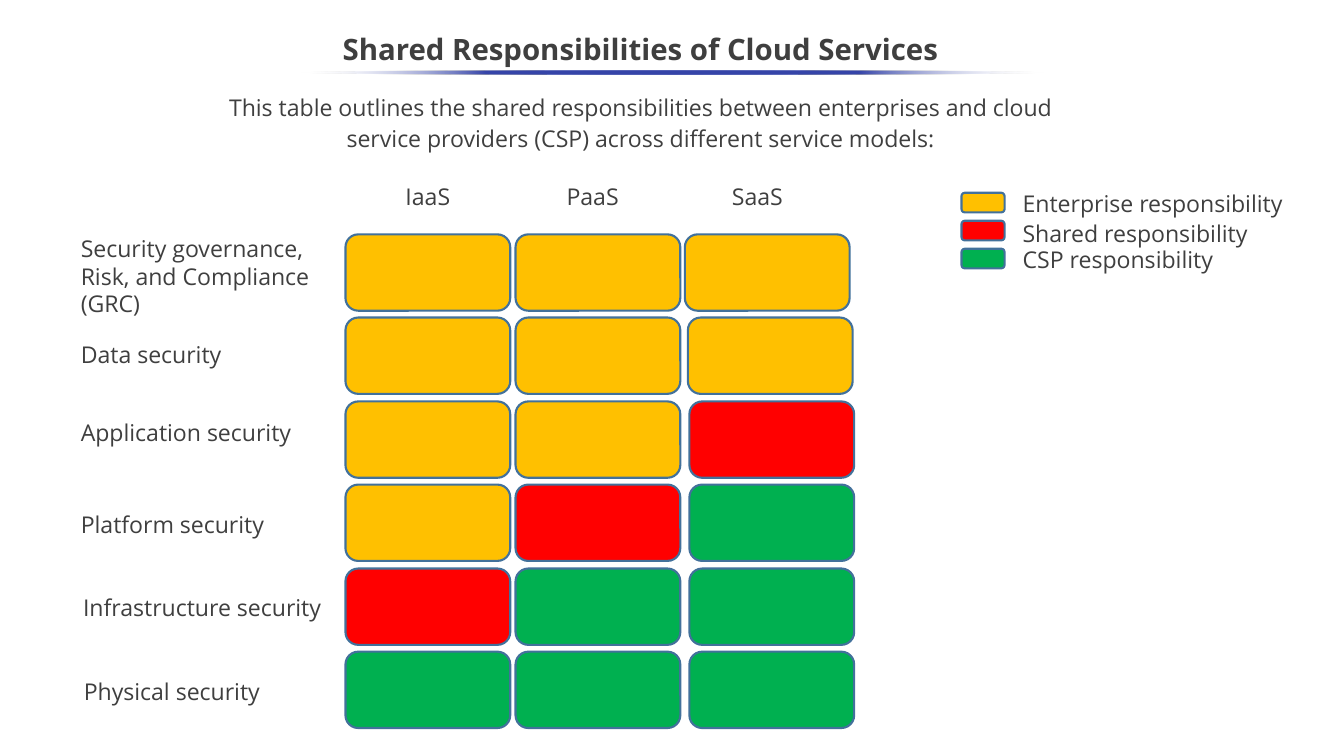
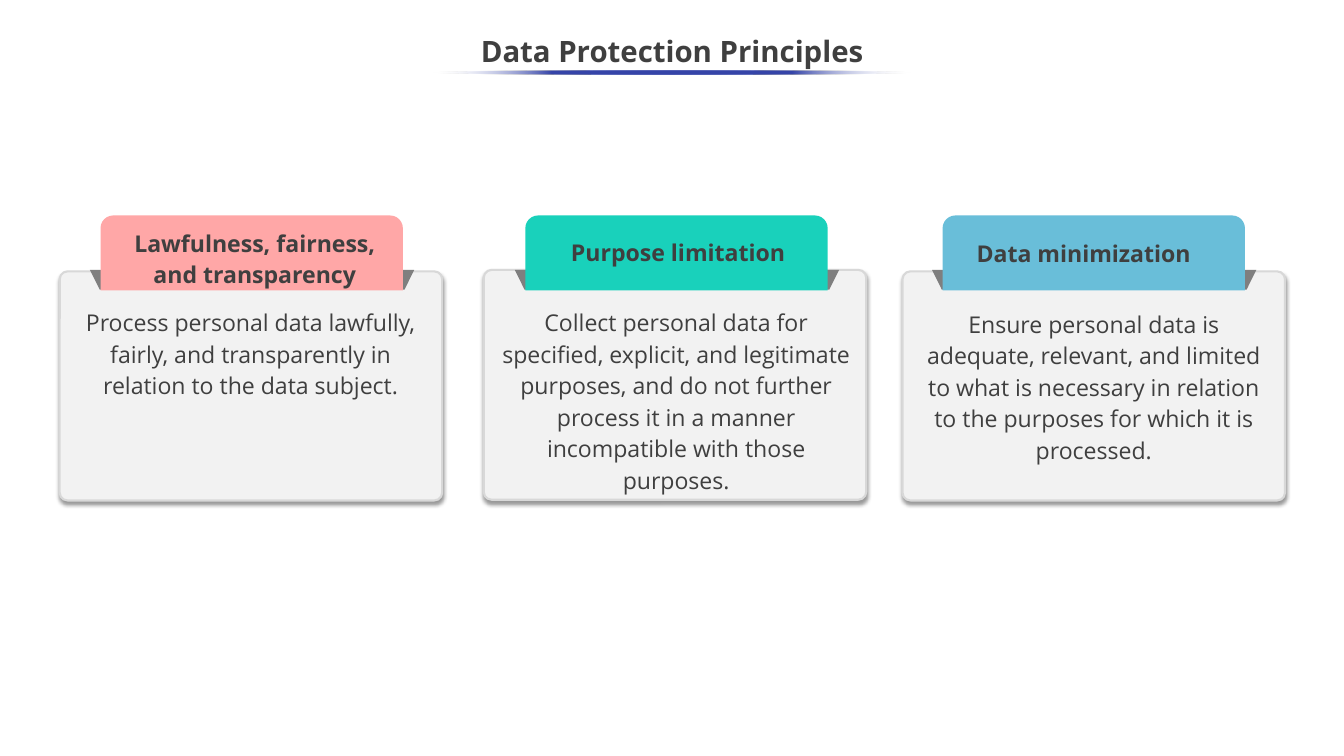
"""Two slides on cloud security: shared responsibilities and data protection."""
from dataclasses import dataclass

from pptx import Presentation
from pptx.dml.color import RGBColor
from pptx.enum.shapes import MSO_SHAPE as SHAPE
from pptx.enum.text import MSO_ANCHOR as ANCHOR, PP_ALIGN as ALIGN
from pptx.oxml import parse_xml
from pptx.oxml.ns import nsdecls, qn
from pptx.util import Emu, Pt

PX = 9144
WIDTH, HEIGHT = 1778, 1000


@dataclass(frozen=True)
class Theme:
    """Colours, font and type sizes of the deck."""
    font: str = "Open Sans"
    title: int = 28
    body: int = 22
    spacing: float = 1.14
    text: str = "3F3F3F"
    rule: str = "3645A9"
    white: str = "FFFFFF"
    cell_line: str = "42719B"
    card: str = "F2F2F2"
    card_line: str = "D8D8D8"
    fold: str = "7F7F7F"
    line: int = 2


T = Theme()

MATRIX_TITLE = "Shared Responsibilities of Cloud Services"
MATRIX_INTRO = ("This table outlines the shared responsibilities between enterprises and cloud "
                "service providers (CSP) across different service models:")
MODELS = ["IaaS", "PaaS", "SaaS"]
OWNERS = {"E": ("Enterprise responsibility", "FFC000", 246),
          "S": ("Shared responsibility", "FF0000", 285),
          "C": ("CSP responsibility", "00B050", 320)}
# label, owner per model, label position, left edge of the SaaS cell
AREAS = [
    ("Security governance, Risk, and Compliance (GRC)", "EEE", (97, 305), 906),
    ("Data security", "EEE", (97, 446), 910),
    ("Application security", "EES", (97, 549), 912),
    ("Platform security", "ESC", (97, 670), 912),
    ("Infrastructure security", "SCC", (100, 780), 912),
    ("Physical security", "CCC", (101, 891), 912),
]

CARDS_TITLE = "Data Protection Principles"
CARDS = [
    dict(head="Lawfulness, fairness, and transparency", color="FFA7A7",
         body="Process personal data lawfully, fairly, and transparently in relation to the "
              "data subject.",
         card=(79, 359, 506, 303), tab=133, head_box=(137, 293, 400, 95),
         body_box=(84, 398, 495, 137), spacing=T.spacing),
    dict(head="Purpose limitation", color="19D1BB",
         body="Collect personal data for specified, explicit, and legitimate purposes, and do "
              "not further process it in a manner incompatible with those purposes.",
         card=(640, 357, 506, 304), tab=695, head_box=(699, 310, 396, 47),
         body_box=(640, 398, 509, 263), spacing=1.0),
    dict(head="Data minimization", color="69BED9",
         body="Ensure personal data is adequate, relevant, and limited to what is necessary in "
              "relation to the purposes for which it is processed.",
         card=(1194, 359, 506, 303), tab=1247, head_box=(1263, 312, 341, 47),
         body_box=(1204, 400, 486, 221), spacing=1.0),
]


def rgb(value):
    return RGBColor.from_string(value)


def assign(obj, **values):
    """Set each named attribute on an object."""
    for name, value in values.items():
        setattr(obj, name, value)


def emu(box):
    return [Emu(v * PX) for v in box]


def add_text(s, box, text, size=T.body, bold=False, align=ALIGN.CENTER,
             spacing=1.0, anchor=ANCHOR.TOP):
    """Add a wrapped text box with one paragraph."""
    tf = s.shapes.add_textbox(*emu(box)).text_frame
    assign(tf, word_wrap=True, vertical_anchor=anchor)
    p = tf.paragraphs[0]
    assign(p, alignment=align, line_spacing=spacing)
    r = p.add_run()
    r.text = text
    assign(r.font, name=T.font, size=Pt(size), bold=bold)
    r.font.color.rgb = rgb(T.text)


def add_block(s, kind, box, fill, line=None, adj=()):
    """Add a flat preset shape."""
    sp = s.shapes.add_shape(kind, *emu(box))
    sp.shadow.inherit = False
    sp.fill.solid()
    sp.fill.fore_color.rgb = rgb(fill)
    if line:
        sp.line.color.rgb = rgb(line)
        sp.line.width = Pt(T.line)
    else:
        sp.line.fill.background()
    for i, value in enumerate(adj):
        sp.adjustments[i] = value
    return sp


def add_rule(s, left, width):
    """Add the title rule, which fades out at both ends."""
    sp = add_block(s, SHAPE.OVAL, (left, 94, width, 4), T.rule)
    clear = '<a:alpha val="0"/>'
    stops = [(0, T.white, clear), (25, T.rule, ""), (50, T.rule, ""),
             (75, T.rule, ""), (100, T.white, clear)]
    gs = "".join(f'<a:gs pos="{pos * 1000}"><a:srgbClr val="{color}">{alpha}</a:srgbClr></a:gs>'
                 for pos, color, alpha in stops)
    grad = parse_xml(f'<a:gradFill {nsdecls("a")} rotWithShape="1"><a:gsLst>{gs}</a:gsLst>'
                     '<a:lin ang="10800000" scaled="0"/></a:gradFill>')
    props = sp.element.spPr
    props.replace(props.find(qn("a:solidFill")), grad)


def add_shadow(sp):
    """Drop a soft shadow straight below a shape."""
    sp.element.spPr.find(qn("a:effectLst")).append(parse_xml(
        f'<a:outerShdw {nsdecls("a")} blurRad="{Pt(4)}" dist="{Pt(3)}" dir="5400000" '
        'algn="t" rotWithShape="0"><a:srgbClr val="000000"><a:alpha val="40000"/>'
        '</a:srgbClr></a:outerShdw>'))


def add_title(s, box, text, rule, **style):
    add_text(s, box, text, size=T.title, bold=True, **style)
    add_rule(s, *rule)


def add_cell(s, box, owner):
    add_block(s, SHAPE.ROUNDED_RECTANGLE, box, OWNERS[owner][1], T.cell_line, [0.167])


def build_matrix(s):
    """Build the grid of areas by service model, with its legend."""
    add_title(s, (439, 36, 816, 57), MATRIX_TITLE, (397, 985))
    add_text(s, (247, 113, 1201, 92), MATRIX_INTRO, spacing=T.spacing)
    for col, model in enumerate(MODELS):
        add_text(s, (457 + 218 * col, 237, 218, 45), model)
    for row, (label, owners, (x, y), last) in enumerate(AREAS):
        add_text(s, (x, y, 349, 47), label, align=ALIGN.LEFT)
        top = round(310 + 110.4 * row)
        for left, owner in zip((457, 682, last), owners):
            add_cell(s, (left, top, 218, 101), owner)
    for row, (owner, (label, _, top)) in enumerate(OWNERS.items()):
        add_cell(s, (1272, 255 + 37 * row, 57, 26), owner)
        add_text(s, (1343, top, 377, 47), label, align=ALIGN.LEFT)


def build_cards(s):
    """Build one card with a folded tab per principle."""
    add_title(s, (0, 32, WIDTH, 75), CARDS_TITLE, (572, 634),
              spacing=0.9, anchor=ANCHOR.MIDDLE)
    for c in CARDS:
        add_shadow(add_block(s, SHAPE.ROUNDED_RECTANGLE, c["card"], T.card,
                             T.card_line, [0.034]))
        add_text(s, c["body_box"], c["body"], spacing=T.spacing)
        fold = add_block(s, SHAPE.TRAPEZOID, (c["tab"] - 14, 357, 429, 26), T.fold, adj=[0.494])
        fold.rotation = 180
        add_block(s, SHAPE.ROUND_2_SAME_RECTANGLE, (c["tab"], 285, 400, 99), c["color"],
                  adj=[0.17, 0])
        add_text(s, c["head_box"], c["head"], bold=True, spacing=c["spacing"])


def main():
    prs = Presentation()
    assign(prs, slide_width=Emu(WIDTH * PX), slide_height=Emu(HEIGHT * PX))
    for build in (build_matrix, build_cards):
        build(prs.slides.add_slide(prs.slide_layouts[6]))
    prs.save("out.pptx")


if __name__ == "__main__":
    main()
